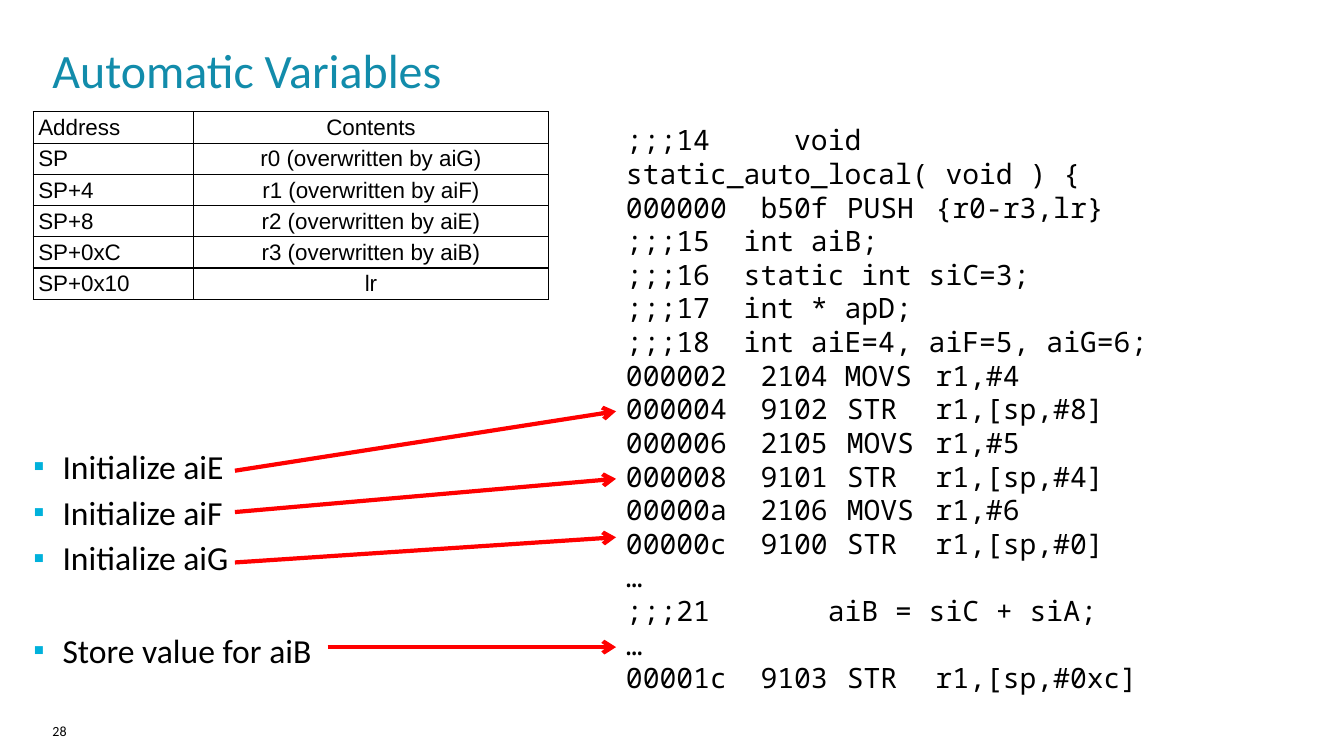
from dataclasses import dataclass

from lxml.etree import SubElement as Sub
from pptx import Presentation
from pptx.dml.color import RGBColor as RGB
from pptx.enum.shapes import MSO_CONNECTOR as Conn
from pptx.enum.text import MSO_ANCHOR as Anchor, MSO_AUTO_SIZE as Auto, PP_ALIGN as Align
from pptx.oxml.ns import qn
from pptx.util import Inches, Pt


@dataclass(frozen=True)
class Theme:
    ink: str = "000000"
    title: str = "128CAB"
    bullet: str = "00B1DB"
    arrow: str = "FF0000"
    sans: str = "Calibri"
    grid: str = "Arial"
    mono: str = "Noto Sans Mono"
    head_size: float = 34.2
    body_size: int = 24
    code_size: int = 20
    grid_size: int = 16
    page_size: int = 10


def node(parent, tag, **attrs):
    return Sub(parent, qn(tag), {k: str(v) for k, v in attrs.items()})


def write(para, text, font, size, color, align=Align.LEFT, space=None, before=0):
    """Put formatted text into one paragraph."""
    para.alignment = align
    para.space_before = Pt(before)
    if space:
        para.line_spacing = space
    run = para.add_run()
    run.text = text
    run.font.name = font
    run.font.size = Pt(size)
    run.font.color.rgb = RGB.from_string(color)


class Deck:
    def __init__(self, theme):
        self.theme = theme
        self.file = Presentation()
        self.file.slide_width, self.file.slide_height = Inches(13.33), Inches(7.5)
        self.slide = self.file.slides.add_slide(self.file.slide_layouts[5])
        self.shapes = self.slide.shapes

    def frame(self, shape, box, pad=(0, 0, 0, 0), anchor=Anchor.TOP):
        shape.left, shape.top, shape.width, shape.height = map(Inches, box)
        frame = shape.text_frame
        frame.word_wrap = True
        frame.auto_size = Auto.NONE
        frame.vertical_anchor = anchor
        (frame.margin_left, frame.margin_top,
         frame.margin_right, frame.margin_bottom) = map(Inches, pad)
        return frame

    def box(self, box, **style):
        return self.frame(self.shapes.add_textbox(*map(Inches, box)), box, **style)

    def title(self, text, box):
        t = self.theme
        frame = self.frame(self.shapes.title, box, anchor=Anchor.MIDDLE)
        write(frame.paragraphs[0], text, t.sans, t.head_size, t.title)

    def page(self, text, box):
        t = self.theme
        write(self.box(box).paragraphs[0], text, t.sans, t.page_size, t.ink)

    def lines(self, frame, count):
        return [frame.paragraphs[0]] + [frame.add_paragraph() for _ in range(count - 1)]

    def bullets(self, items, box):
        t = self.theme
        for para, (text, gap) in zip(self.lines(self.box(box), len(items)), items):
            write(para, text, t.sans, t.body_size, t.ink, before=gap)
            props = para._p.get_or_add_pPr()
            props.set("marL", str(Inches(0.29)))
            props.set("indent", str(-Inches(0.29)))
            node(node(props, "a:buClr"), "a:srgbClr", val=t.bullet)
            node(props, "a:buSzPct", val=95000)
            node(props, "a:buFont", typeface=t.grid)
            node(props, "a:buChar", char="▪")

    def code(self, rows, box, stops):
        t = self.theme
        frame = self.box(box, pad=(0.1, 0.05, 0.1, 0.05))
        for para, text in zip(self.lines(frame, len(rows)), rows):
            write(para, text, t.mono, t.code_size, t.ink, space=Pt(24))
            tabs = node(para._p.get_or_add_pPr(), "a:tabLst")
            for stop in stops:
                node(tabs, "a:tab", pos=Inches(stop), algn="l")

    def table(self, rows, spot, widths, height):
        t = self.theme
        size = Inches(sum(widths)), Inches(height * len(rows))
        table = self.shapes.add_table(len(rows), len(widths), *map(Inches, spot), *size).table
        table.first_row = table.horz_banding = False
        for col, width in zip(table.columns, widths):
            col.width = Inches(width)
        for r, row in enumerate(rows):
            table.rows[r].height = Inches(height)
            for c, text in enumerate(row):
                self.cell(table.cell(r, c), text, Align.CENTER if c else Align.LEFT)

    def cell(self, cell, text, align):
        t = self.theme
        cell.margin_left = cell.margin_right = Inches(0.05)
        cell.margin_top = cell.margin_bottom = 0
        write(cell.text_frame.paragraphs[0], text, t.grid, t.grid_size, t.ink,
              align=align, space=1.15)
        props = cell._tc.get_or_add_tcPr()
        for side in "LRTB":
            edge = node(props, f"a:ln{side}", w=Pt(1))
            node(node(edge, "a:solidFill"), "a:srgbClr", val=t.ink)
        cell.fill.background()

    def arrow(self, start, end):
        line = self.shapes.add_connector(Conn.STRAIGHT, *map(Inches, start + end))
        line.line.color.rgb = RGB.from_string(self.theme.arrow)
        line.line.width = Pt(3)
        props = line._element.spPr
        node(props.find(qn("a:ln")), "a:tailEnd", type="arrow")
        node(props, "a:effectLst")


def main():
    deck = Deck(Theme())

    # Title and page number
    deck.page("28", (0.52, 7.17, 1.42, 0.26))
    deck.title("Automatic Variables", (0.52, 0.37, 12.2, 0.63))

    # Steps, the last one set apart
    deck.bullets([("Initialize aiE", 4), ("Initialize aiF", 4), ("Initialize aiG", 4),
                  ("Store value for aiB", 37)], (0.33, 4.42, 5.78, 2.92))

    # Assembly listing
    deck.code([
        ";;;14     void static_auto_local( void ) {",
        "000000  b50f\tPUSH\t{r0-r3,lr}",
        ";;;15  int aiB;",
        ";;;16  static int siC=3;",
        ";;;17  int * apD;",
        ";;;18  int aiE=4, aiF=5, aiG=6;",
        "000002  2104 MOVS\tr1,#4",
        "000004  9102\tSTR\tr1,[sp,#8]",
        "000006  2105\tMOVS\tr1,#5",
        "000008  9101\tSTR\tr1,[sp,#4]",
        "00000a  2106\tMOVS\tr1,#6",
        "00000c  9100\tSTR\tr1,[sp,#0]",
        "…",
        ";;;21       aiB = siC + siA;",
        "…",
        "00001c  9103\tSTR\tr1,[sp,#0xc]",
    ], (6.11, 1.17, 6.72, 5.82), stops=(2.19, 3.07))

    # Stack contents
    deck.table([
        ("Address", "Contents"),
        ("SP", "r0 (overwritten by aiG)"),
        ("SP+4", "r1 (overwritten by aiF)"),
        ("SP+8", "r2 (overwritten by aiE)"),
        ("SP+0xC", "r3 (overwritten by aiB)"),
        ("SP+0x10", "lr"),
    ], (0.33, 1.11), widths=(1.59, 3.52), height=0.31)

    # Arrows from steps to code
    for x, y, tip in ((2.33, 4.67, 4.08), (2.33, 5.08, 4.75),
                      (2.33, 5.58, 5.33), (3.25, 6.42, 6.42)):
        deck.arrow((x, y), (6.11, tip))

    deck.file.save("out.pptx")


if __name__ == "__main__":
    main()
